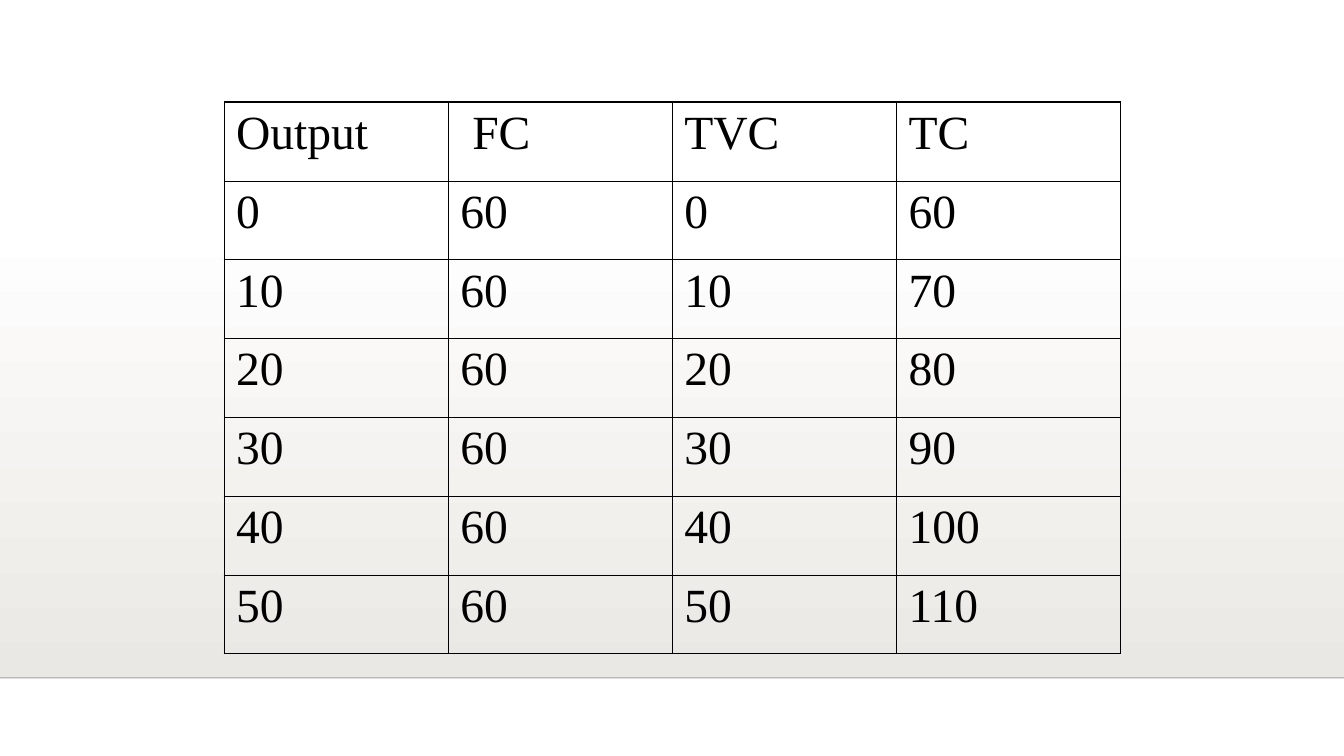
import pptx
import pptx.util
import pptx.dml.color
import pptx.enum.shapes
import pptx.oxml.ns
from lxml import etree

PX = 9080  # EMU per px
BORDER_THIN, BORDER_THICK = 0.45, 1.08  # points


def color(hex_code):
    return pptx.dml.color.RGBColor.from_string(hex_code)


def add_xml(parent, tag, **attributes):
    return etree.SubElement(parent, pptx.oxml.ns.qn(tag), attributes)


prs = pptx.Presentation()
prs.slide_width = 1343 * PX
prs.slide_height = 755 * PX
slide = prs.slides.add_slide(prs.slide_layouts[6])

# Shaded floor with a faint line along its lower edge
floor = slide.shapes.add_shape(
    pptx.enum.shapes.MSO_SHAPE.RECTANGLE, 0, 222 * PX, 1343 * PX, 455 * PX)
floor.shadow.inherit = False
floor.line.fill.background()
floor.fill.gradient()
floor.fill.gradient_angle = 270
for stop, shade in zip(floor.fill.gradient_stops, ("FFFFFF", "EAE8E4")):
    stop.color.rgb = color(shade)

floor_edge = slide.shapes.add_connector(
    pptx.enum.shapes.MSO_CONNECTOR.STRAIGHT, 0, 677 * PX, 1343 * PX, 677 * PX)
floor_edge.line.color.rgb = color("000001")
floor_edge.line.width = pptx.util.Pt(1)
edge_properties = floor_edge._element.spPr
add_xml(edge_properties.find(".//" + pptx.oxml.ns.qn("a:srgbClr")), "a:alpha", val="20000")
add_xml(edge_properties, "a:effectLst")

# Cost table: total cost is fixed cost plus total variable cost
FIXED_COST = 60
costs = [("Output", "FC", "TVC", "TC")]
costs += [(output, FIXED_COST, output, FIXED_COST + output) for output in range(0, 60, 10)]
last_row, last_column = len(costs) - 1, len(costs[0]) - 1

cost_table = slide.shapes.add_table(
    len(costs), len(costs[0]), 224 * PX, 102 * PX, 896 * PX, 551 * PX).table
cost_table.first_row = False
cost_table.horz_banding = False

for row, values in enumerate(costs):
    for column, value in enumerate(values):
        cell = cost_table.cell(row, column)
        indent = 12 if (row, column) == (0, 1) else 0
        cell.margin_left = (12 + indent) * PX
        cell.margin_right = 12 * PX
        cell.margin_top = cell.margin_bottom = 5 * PX

        cell.text_frame.text = str(value)
        font = cell.text_frame.paragraphs[0].runs[0].font
        font.name = "Times New Roman"
        font.size = pptx.util.Pt(34)
        font.color.rgb = color("000000")

        outer_sides = {"a:lnL": column == 0, "a:lnR": column == last_column,
                       "a:lnT": row == 0, "a:lnB": row == last_row}
        for side, is_outer in outer_sides.items():
            width = pptx.util.Pt(BORDER_THICK if is_outer else BORDER_THIN)
            border = add_xml(cell._tc.get_or_add_tcPr(), side, w=str(width))
            add_xml(add_xml(border, "a:solidFill"), "a:srgbClr", val="000000")
        cell.fill.background()

prs.save("out.pptx")
